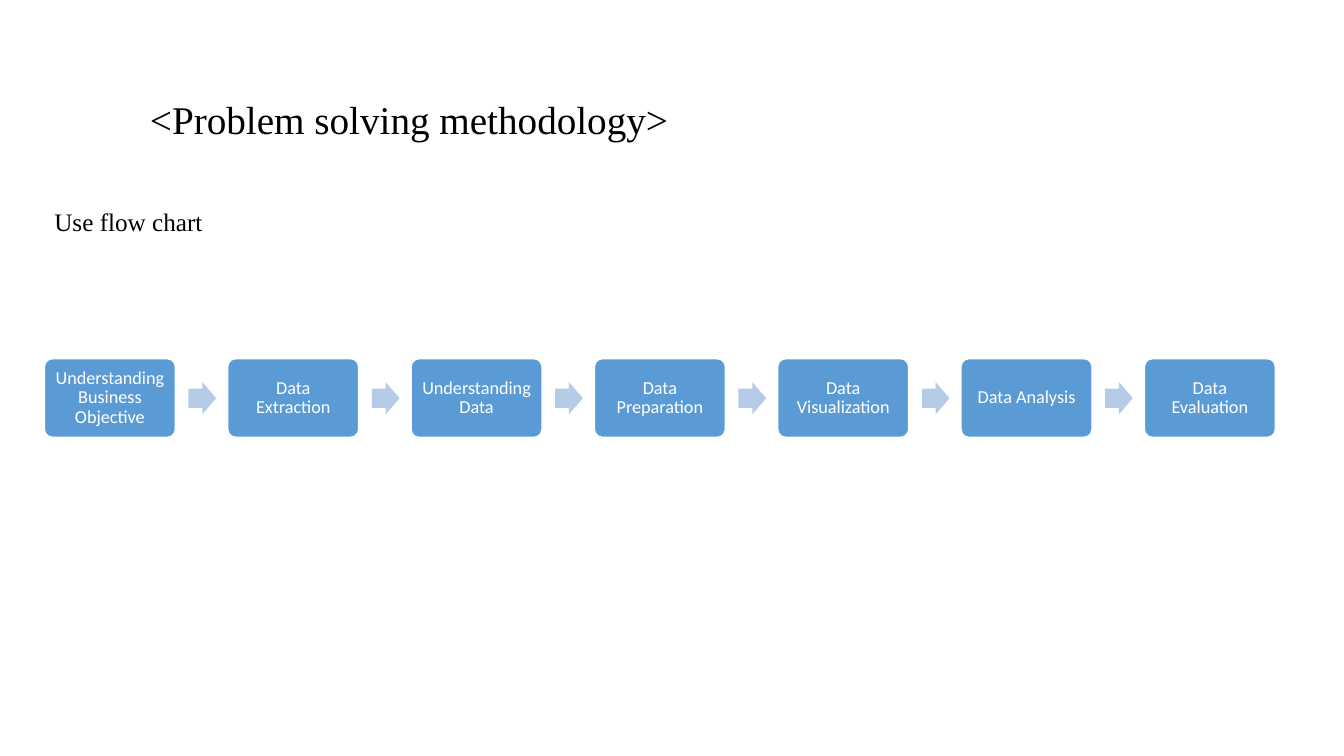
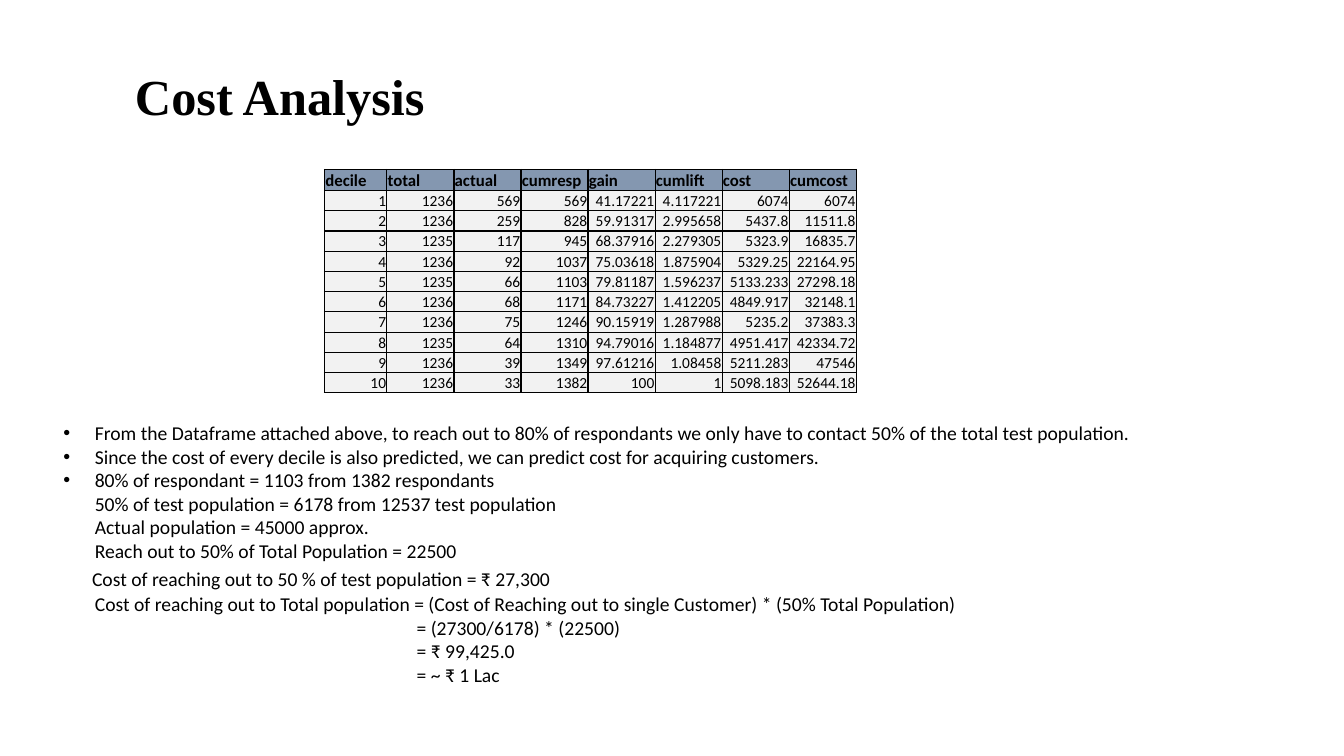
from lxml.etree import SubElement
from pptx import Presentation
from pptx.dml.color import RGBColor
from pptx.enum.shapes import MSO_SHAPE
from pptx.enum.text import MSO_ANCHOR, PP_ALIGN
from pptx.oxml.ns import qn
from pptx.util import Cm, Pt

INK, WHITE = "000000", "FFFFFF"
STEP_BLUE, ARROW_BLUE = "5B9BD5", "B5CBE7"
HEADER_BLUE, CELL_GREY = "8497B0", "F2F2F2"
SERIF = {"name": "Times New Roman", "bold": False}
SANS = {"name": "Calibri", "bold": False}


def paint(color, hex_value):
    color.rgb = RGBColor.from_string(hex_value)


def write(paragraph, text, font, hex_value=INK, **layout):
    run = paragraph.add_run()
    run.text = text
    for name, value in font.items():
        setattr(run.font, name, value)
    paint(run.font.color, hex_value)
    for name, value in layout.items():
        setattr(paragraph, name, value)


presentation = Presentation()
presentation.slide_width, presentation.slide_height = Cm(33.87), Cm(19.05)
blank = presentation.slide_layouts[6]

titles = [
    ("<Problem solving methodology>", 3.53, 1.88, 2.39, SERIF | {"size": Pt(28)}),
    ("Cost Analysis", 3.15, 1.78, 1.42, SERIF | {"size": Pt(36), "bold": True}),
]
slides = []
for text, left, top, height, font in titles:
    slide = presentation.slides.add_slide(blank)
    title = slide.shapes.add_textbox(Cm(left), Cm(top), Cm(25.6), Cm(height))
    title.text_frame.word_wrap = True
    title.text_frame.vertical_anchor = MSO_ANCHOR.MIDDLE
    write(title.text_frame.paragraphs[0], text, font, line_spacing=0.9)
    slides.append(slide)
method_slide, cost_slide = slides

caption = method_slide.shapes.add_textbox(Cm(1.12), Cm(5.16), Cm(31), Cm(1.2))
caption.text_frame.word_wrap = True
write(caption.text_frame.paragraphs[0], "Use flow chart",
      SERIF | {"size": Pt(18)}, line_spacing=0.9)

steps = ["Understanding Business Objective", "Data Extraction",
         "Understanding Data", "Data Preparation", "Data Visualization",
         "Data Analysis", "Data Evaluation"]
step_left, step_pitch = 1.12, 4.62
for index, step in enumerate(steps):
    left = step_left + index * step_pitch
    box = method_slide.shapes.add_shape(
        MSO_SHAPE.ROUNDED_RECTANGLE, Cm(left), Cm(9.04), Cm(3.3), Cm(1.98))
    box.adjustments[0] = 0.1
    box.shadow.inherit = False
    box.fill.solid()
    paint(box.fill.fore_color, STEP_BLUE)
    paint(box.line.color, WHITE)
    box.line.width = Pt(1)
    frame = box.text_frame
    frame.word_wrap = True
    frame.vertical_anchor = MSO_ANCHOR.MIDDLE
    for side in ("left", "right", "top", "bottom"):
        setattr(frame, f"margin_{side}", Cm(0.18))
    write(frame.paragraphs[0], step, SANS | {"size": Pt(13)}, WHITE,
          alignment=PP_ALIGN.CENTER, line_spacing=0.9)
    if index < len(steps) - 1:
        arrow = method_slide.shapes.add_shape(
            MSO_SHAPE.RIGHT_ARROW, Cm(left + 3.63), Cm(9.63), Cm(0.7), Cm(0.81))
        arrow.adjustments[0] = 0.6
        arrow.shadow.inherit = False
        arrow.fill.solid()
        paint(arrow.fill.fore_color, ARROW_BLUE)
        arrow.line.fill.background()

deciles = [
    ("decile", "total", "actual", "cumresp", "gain", "cumlift", "cost", "cumcost"),
    (1, 1236, 569, 569, 41.17221, 4.117221, 6074, 6074),
    (2, 1236, 259, 828, 59.91317, 2.995658, 5437.8, 11511.8),
    (3, 1235, 117, 945, 68.37916, 2.279305, 5323.9, 16835.7),
    (4, 1236, 92, 1037, 75.03618, 1.875904, 5329.25, 22164.95),
    (5, 1235, 66, 1103, 79.81187, 1.596237, 5133.233, 27298.18),
    (6, 1236, 68, 1171, 84.73227, 1.412205, 4849.917, 32148.1),
    (7, 1236, 75, 1246, 90.15919, 1.287988, 5235.2, 37383.3),
    (8, 1235, 64, 1310, 94.79016, 1.184877, 4951.417, 42334.72),
    (9, 1236, 39, 1349, 97.61216, 1.08458, 5211.283, 47546),
    (10, 1236, 33, 1382, 100, 1, 5098.183, 52644.18),
]
table = cost_slide.shapes.add_table(
    len(deciles), len(deciles[0]), Cm(8.18), Cm(4.27), Cm(13.4), Cm(5.64)).table
for index, column in enumerate(table.columns):
    column.width = Cm(1.69 if index else 1.57)
for row_index, values in enumerate(deciles):
    table.rows[row_index].height = Cm(0.51)
    header = row_index == 0
    for column_index, value in enumerate(values):
        cell = table.cell(row_index, column_index)
        cell.vertical_anchor = MSO_ANCHOR.BOTTOM
        cell.margin_left = cell.margin_right = cell.margin_top = Cm(0.02)
        cell.margin_bottom = 0
        properties = cell._tc.get_or_add_tcPr()
        for edge in ("a:lnL", "a:lnR", "a:lnT", "a:lnB"):
            border = SubElement(properties, qn(edge), w=str(Pt(1)))
            SubElement(SubElement(border, qn("a:solidFill")), qn("a:srgbClr"), val=INK)
        cell.fill.solid()
        paint(cell.fill.fore_color, HEADER_BLUE if header else CELL_GREY)
        write(cell.text_frame.paragraphs[0], str(value),
              SANS | {"size": Pt(12 if header else 11), "bold": header},
              alignment=PP_ALIGN.LEFT if header else PP_ALIGN.RIGHT)

bullet_indent, result_indent = 0.79, 8.9
findings = [
    ("From the Dataframe attached above, to reach out to 80% of respondants we only "
     "have to contact 50% of the total test population.", bullet_indent, True),
    ("Since the cost of every decile is also predicted, we can predict cost for "
     "acquiring customers.", bullet_indent, True),
    ("80% of respondant = 1103 from 1382 respondants", bullet_indent, True),
    ("50% of test population = 6178 from 12537 test population", bullet_indent, False),
    ("Actual population = 45000 approx.", bullet_indent, False),
    ("Reach out to 50% of Total Population = 22500", bullet_indent, False),
    ("Cost of reaching out to 50 % of test population = ₹ 27,300", 0.72, False),
    ("Cost of reaching out to Total population = (Cost of Reaching out to single "
     "Customer) * (50% Total Population)", bullet_indent, False),
    ("= (27300/6178) * (22500)", result_indent, False),
    ("= ₹ 99,425.0", result_indent, False),
    ("= ~ ₹ 1 Lac", result_indent, False),
]
spacing = {6: {"space_before": Pt(3.5), "space_after": Pt(1)}}
notes = cost_slide.shapes.add_textbox(Cm(1.35), Cm(10.49), Cm(30.43), Cm(7.01))
frame = notes.text_frame
frame.word_wrap = True
for index, (text, indent, bulleted) in enumerate(findings):
    paragraph = frame.add_paragraph() if index else frame.paragraphs[0]
    write(paragraph, text, SANS | {"size": Pt(14)}, **spacing.get(index, {}))
    properties = paragraph._p.get_or_add_pPr()
    properties.set("marL", str(Cm(indent)))
    properties.set("indent", str(Cm(-indent if bulleted else 0)))
    if bulleted:
        SubElement(properties, qn("a:buFont"), typeface="Arial")
        SubElement(properties, qn("a:buChar"), char="•")

presentation.save("out.pptx")
